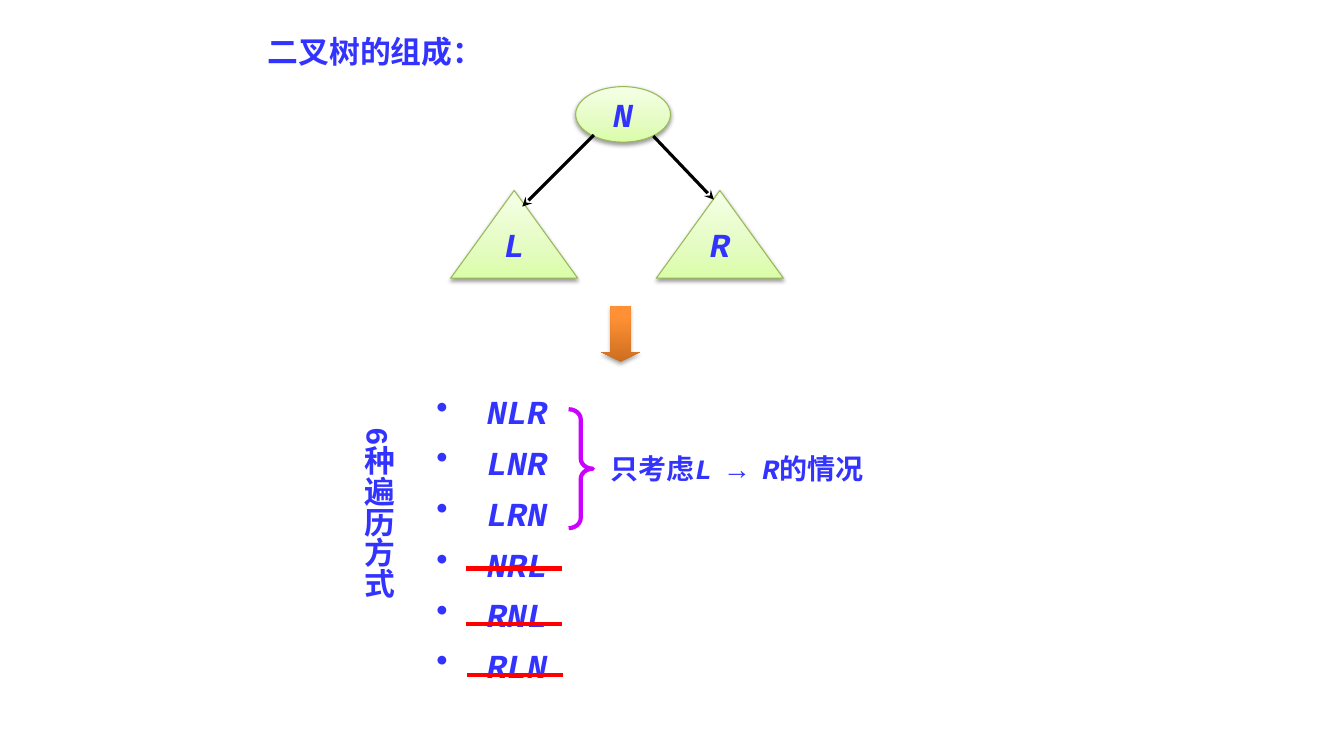
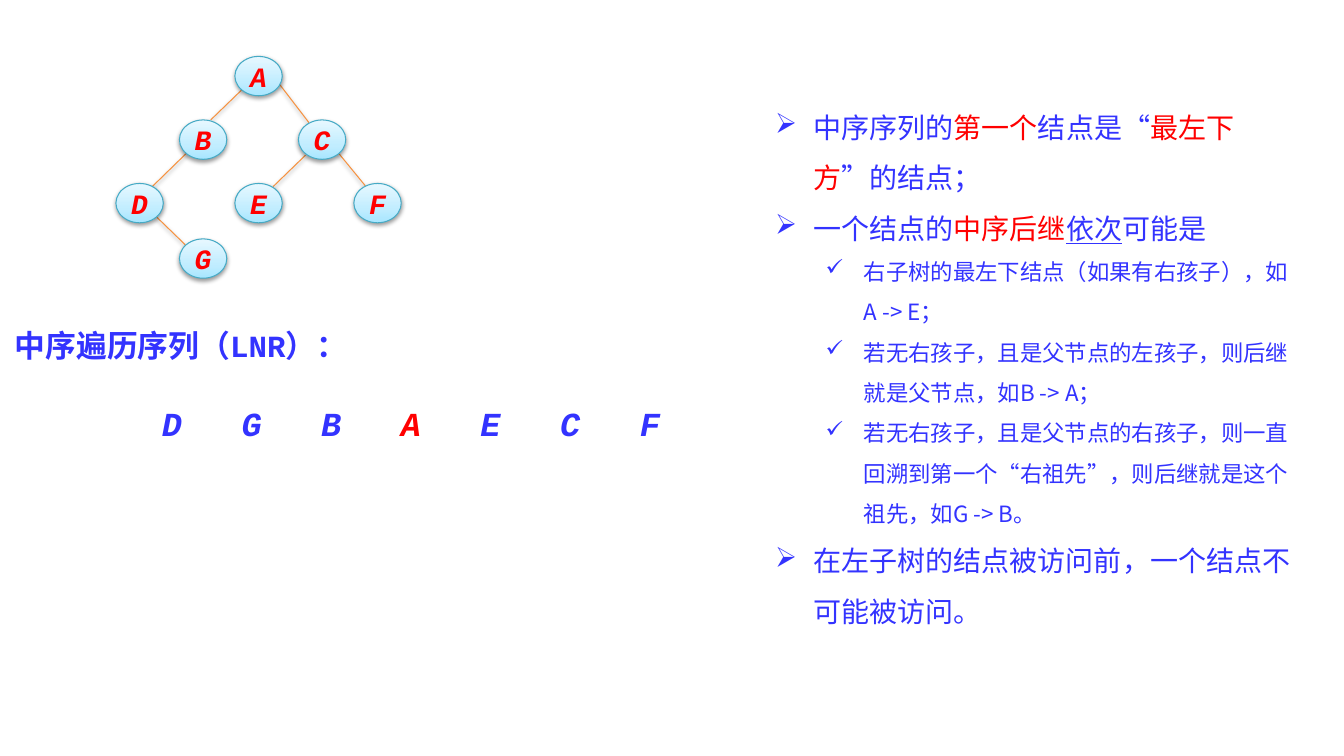
from copy import deepcopy

from lxml import etree
from pptx import Presentation
from pptx import util as u
from pptx.dml.color import RGBColor
from pptx.enum import shapes, text
from pptx.oxml import ns

COLORS = {
    "blue": "3333FF", "red": "FF0000", "black": "000000", "purple": "CC00FF",
    "leaf": "98B955", "sky": "46AAC5", "edge": "F69240",
}
# Gradient stops run from the bottom edge to the top: (position, colour).
GREEN = [(0, "DAFDA7"), (0.35, "E4FCC2"), (1, "F5FFE7")]
AQUA = [(0, "A7E6FF"), (0.35, "C1EDFF"), (1, "E7F8FF")]
ORANGE = [(0, "CC6E20"), (0.8, "FF9034"), (1, "FF9136")]
# Shadows: opacity in percent, blur and distance in points.
SOFT = (38, 3.1, 1.6)
DEEP = (35, 3.1, 1.8)

MONO, SERIF, HAN = "Courier New", "Times New Roman", "Noto Sans CJK SC"
SHAPE = shapes.MSO_SHAPE
CENTER = text.PP_ALIGN.CENTER

# Slide 1
PARTS = [
    ("N", SHAPE.OVAL, (5.71, 0.86, 0.94, 0.55)),
    ("L", SHAPE.ISOSCELES_TRIANGLE, (4.47, 1.89, 1.26, 0.87)),
    ("R", SHAPE.ISOSCELES_TRIANGLE, (6.51, 1.89, 1.26, 0.87)),
]
ARROWS = [(5.89, 1.34, 5.18, 2.05), (6.48, 1.35, 7.08, 1.98)]
ORDERS = ["NLR", "LNR", "LRN", "NRL", "RNL", "RLN"]
STRIKES = [(4.62, 5.64), (4.62, 6.19), (4.63, 6.7)]
SLANT = {"italic": True}
REMARK = [("只考虑", {}), ("L ", SLANT), ("→ ", {}), ("R", SLANT), ("的情况", {})]

# Slide 2
NODES = {
    "A": (2.33, 0.56), "B": (1.78, 1.19), "C": (2.96, 1.19), "D": (1.15, 1.82),
    "E": (2.33, 1.82), "F": (3.51, 1.82), "G": (1.78, 2.37),
}
EDGES = [
    (1.54, 2.14, 1.86, 2.45), (2.41, 0.88, 2.09, 1.19), (2.76, 0.82, 3.09, 1.25),
    (1.86, 1.51, 1.46, 1.9), (3.03, 1.54, 2.71, 1.85), (3.35, 1.51, 3.67, 1.9),
]
INORDER, ROOT = "DGBAECF", "A"
RED = {"color": "red"}
NOTES = [
    (0, [("中序序列的", {}), ("第一个", RED), ("结点是“", {}),
         ("最左下方", RED), ("”的结点；", {})]),
    (0, [("一个结点的", {}), ("中序后继", RED),
         ("依次", {"underline": True}), ("可能是", {})]),
    (1, [("右子树的最左下结点（如果有右孩子），如A -> E；", {})]),
    (1, [("若无右孩子，且是父节点的左孩子，则后继就是父节点，如B -> A；", {})]),
    (1, [("若无右孩子，且是父节点的右孩子，则一直回溯到第一个“右祖先”，"
          "则后继就是这个祖先，如G -> B。", {})]),
    (0, [("在左子树的结点被访问前，一个结点不可能被访问。", {})]),
]
LEVELS = [("➢", 0.38, 20), ("✓", 0.88, 16)]  # bullet, margin, size


def inches(nums):
    return [u.Inches(n) for n in nums]


def rgb(name):
    return RGBColor.from_string(COLORS.get(name, name))


def write(para, runs, size, face=MONO, color="blue", bold=True, italic=False):
    """Fill a paragraph with plain text or with (text, style) runs."""
    font = para.font
    font.name, font.size, font.bold, font.italic = face, u.Pt(size), bold, italic
    font.color.rgb = rgb(color)
    base = para._p.pPr.find(ns.qn("a:defRPr"))
    etree.SubElement(base, ns.qn("a:ea"), typeface=HAN)
    for words, style in [(runs, {})] if isinstance(runs, str) else runs:
        run = para.add_run()
        run.text = words
        for key, value in style.items():
            if key == "color":
                run.font.color.rgb = rgb(value)
            else:
                setattr(run.font, key, value)


def bullet(para, char, margin, hang):
    props = para._p.get_or_add_pPr()
    props.set("marL", str(u.Inches(margin)))
    props.set("indent", str(-u.Inches(hang)))
    mark = etree.Element(ns.qn("a:buChar"), char=char)
    props.find(ns.qn("a:defRPr")).addprevious(mark)


def frame(slide, box):
    area = slide.shapes.add_textbox(*inches(box)).text_frame
    area.word_wrap = True
    area.auto_size = text.MSO_AUTO_SIZE.SHAPE_TO_FIT_TEXT
    return area


def label(slide, box, runs, size, align=None, **style):
    """Add a text box of one paragraph."""
    area = frame(slide, box)
    para = area.paragraphs[0]
    para.alignment = align
    write(para, runs, size, **style)
    return area


def shade(item, glow):
    """Give a shape or connector its shadow, or none."""
    props = item._element.spPr
    effects = etree.SubElement(props, ns.qn("a:effectLst"))
    if glow:
        alpha, blur, dist = glow
        outer = etree.SubElement(
            effects, ns.qn("a:outerShdw"), blurRad=str(u.Pt(blur)),
            dist=str(u.Pt(dist)), dir="5400000", rotWithShape="0")
        tint = etree.SubElement(outer, ns.qn("a:srgbClr"), val=COLORS["black"])
        etree.SubElement(tint, ns.qn("a:alpha"), val=str(alpha * 1000))


def draw(slide, kind, box, stops=None, line=None, width=0.75, glow=None):
    """Add a preset shape with a gradient, an outline and a shadow."""
    item = slide.shapes.add_shape(kind, *inches(box))
    if stops:
        item.fill.gradient()
        item.fill.gradient_angle = 90
        found = item._element.spPr.find(".//" + ns.qn("a:gsLst"))
        found.insert(1, deepcopy(found[0]))
        for stop, (pos, color) in zip(item.fill.gradient_stops, stops):
            stop.position = pos
            stop.color.rgb = rgb(color)
    else:
        item.fill.background()
    if line:
        item.line.color.rgb = rgb(line)
        item.line.width = u.Pt(width)
    else:
        item.line.fill.background()
    shade(item, glow)
    return item


def node(slide, name, kind, box, stops, line, size, color):
    """Add a tree part with its letter in the middle."""
    item = draw(slide, kind, box, stops, line, glow=SOFT)
    area = item.text_frame
    area.word_wrap = False
    area.vertical_anchor = text.MSO_ANCHOR.MIDDLE
    para = area.paragraphs[0]
    para.alignment = CENTER
    if kind == SHAPE.ISOSCELES_TRIANGLE:
        para.line_spacing = u.Pt(12)
    write(para, name, size, color=color, italic=True)


def link(slide, ends, color, width, arrow=False, glow=None):
    item = slide.shapes.add_connector(shapes.MSO_CONNECTOR.STRAIGHT, *inches(ends))
    item.line.color.rgb = rgb(color)
    item.line.width = u.Pt(width)
    if arrow:
        stroke = item._element.spPr.find(ns.qn("a:ln"))
        etree.SubElement(stroke, ns.qn("a:tailEnd"), type="stealth")
    shade(item, glow)


def orders(slide):
    """Slide 1: the parts of a binary tree and its six traversals."""
    for name, kind, box in PARTS:
        node(slide, name, kind, box, GREEN, "leaf", 24, "blue")
    for ends in ARROWS:
        link(slide, ends, "black", 2.25, arrow=True)
    label(slide, (2.27, 0.28, 2.91, 0.47), "二叉树的组成：", 22, CENTER, face=SERIF)
    down = draw(slide, SHAPE.DOWN_ARROW, (5.96, 3.04, 0.39, 0.55), ORANGE, glow=DEEP)
    down.adjustments[1] = 0.25

    area = frame(slide, (4.23, 3.91, 1.73, 3.05))
    for i, order in enumerate(ORDERS):
        para = area.add_paragraph() if i else area.paragraphs[0]
        para.line_spacing, para.space_before = 0.8, u.Pt(13.2)
        write(para, order, 24, italic=True)
        bullet(para, "•", 0.5, 0.5)

    side = label(slide, (3.42, 4.14, 0.57, 2.6), "6种遍历方式", 22, CENTER)
    side._txBody.bodyPr.set("vert", "eaVert")
    for x, y in STRIKES:
        link(slide, (x, y, x + 0.95, y), "red", 3)
    label(slide, (5.96, 4.43, 3.21, 0.44), REMARK, 20)
    brace = draw(slide, SHAPE.RIGHT_BRACE, (5.64, 4.06, 0.24, 1.18),
                 line="purple", width=3)
    brace.adjustments[0] = 0.42


def inorder(slide):
    """Slide 2: a sample tree, its in-order sequence and the rules."""
    for ends in EDGES:
        link(slide, ends, "edge", 0.75, glow=SOFT)
    for name, spot in NODES.items():
        node(slide, name, SHAPE.OVAL, (*spot, 0.47, 0.39), AQUA, "sky", 20, "red")
    label(slide, (0.05, 3.19, 3.47, 0.47), "中序遍历序列（LNR）：", 22)
    step = 0.79
    for i, name in enumerate(INORDER):
        color = "red" if name == ROOT else "blue"
        label(slide, (1.31 + i * step, 3.95, step, 0.5), name, 24, CENTER,
              color=color, italic=True)

    area = frame(slide, (7.59, 0.88, 5.34, 5.39))
    for i, (level, runs) in enumerate(NOTES):
        para = area.add_paragraph() if i else area.paragraphs[0]
        char, margin, size = LEVELS[level]
        para.level, para.line_spacing = level, 1.5
        write(para, runs, size, face=HAN, bold=False)
        bullet(para, char, margin, 0.38)


def main():
    deck = Presentation()
    deck.slide_width, deck.slide_height = inches((13.33, 7.5))
    for build in (orders, inorder):
        build(deck.slides.add_slide(deck.slide_layouts[6]))
    deck.save("out.pptx")


if __name__ == "__main__":
    main()
